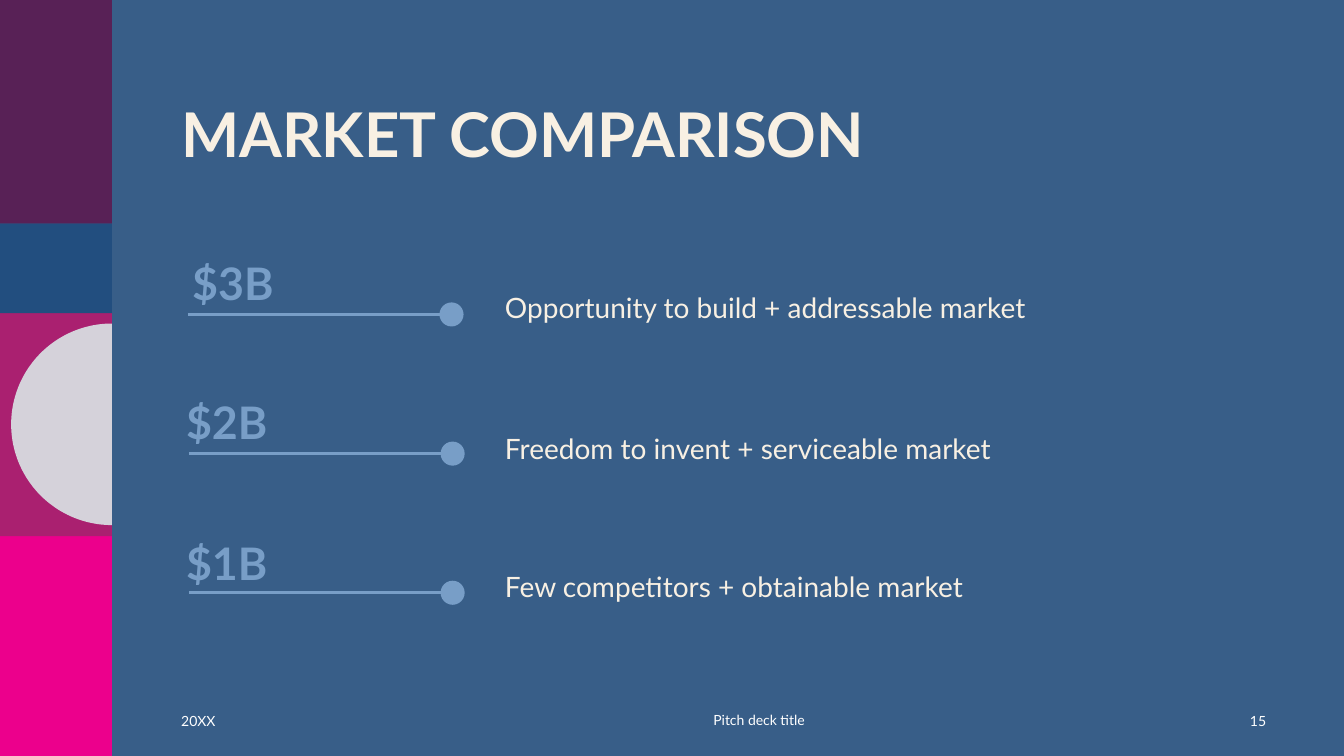
import math
import pptx
import pptx.util
import pptx.dml.color
import pptx.enum.shapes
import pptx.enum.text
import pptx.oxml.ns
import lxml.etree

Pt = pptx.util.Pt
RGBColor = pptx.dml.color.RGBColor
Shape = pptx.enum.shapes.MSO_SHAPE
Align = pptx.enum.text.PP_ALIGN
Anchor = pptx.enum.text.MSO_ANCHOR

BACKGROUND = RGBColor(0x38, 0x5E, 0x88)
PINK = RGBColor(0xEC, 0x00, 0x8C)
MAGENTA = RGBColor(0xAA, 0x20, 0x70)
PURPLE = RGBColor(0x58, 0x21, 0x56)
NAVY = RGBColor(0x22, 0x4E, 0x7F)
GREY = RGBColor(0xD5, 0xD2, 0xDA)
CREAM = RGBColor(0xF8, 0xF0, 0xE3)
SKY = RGBColor(0x78, 0x9E, 0xC7)
WHITE = RGBColor(0xFF, 0xFF, 0xFF)

TITLE = "MARKET COMPARISON"
MARKETS = [
    {"value": "$3B", "text": "Opportunity to build + addressable market",
     "value_at": (108.7, 173.5), "text_top": 206.6, "line_left": 134.2},
    {"value": "$2B", "text": "Freedom to invent + serviceable market",
     "value_at": (104.4, 272.9), "text_top": 307.4, "line_left": 135},
    {"value": "$1B", "text": "Few competitors + obtainable market",
     "value_at": (104.4, 373.7), "text_top": 406.1, "line_left": 135},
]
FOOTERS = [
    ("20XX", (122.4, 500.4, 86.4, 28.8), Align.LEFT),
    ("Pitch deck title", (452.2, 499.7, 180, 28.8), Align.CENTER),
    ("15", (875.5, 500.4, 36, 28.8), Align.RIGHT),
]
BAND_WIDTH = 80
BANDS = [(380.2, 159.8, PINK), (223.2, 159.8, MAGENTA), (0, 159.8, PURPLE), (159.8, 64, NAVY)]
CIRCLE_Y, CIRCLE_RADIUS, ARC_STEPS = 303.1, 72, 90
FIRST_LINE_Y, LINE_PITCH, LINE_LENGTH = 224.6, 99.4, 182.6
DOT_SIZE, DOT_OFFSET = 17.2, 179.7

TITLE_FORMAT = {"size": Pt(44), "bold": True, "color": CREAM}
VALUE_FORMAT = {"size": Pt(32), "bold": True, "color": SKY}
TEXT_FORMAT = {"size": Pt(20), "bold": False, "color": CREAM}
FOOTER_FORMAT = {"size": Pt(10), "bold": False, "color": WHITE}
PLAIN = {"line_spacing": 1.0, "space_before": Pt(0)}
TIGHT = {"line_spacing": 0.9, "space_before": Pt(0)}
BODY = {"line_spacing": 0.9, "space_before": Pt(10)}


def set_all(target, values):
    for name, value in values.items():
        setattr(target, name, value)


def write(shape, box, text, font_format, spacing, alignment=Align.LEFT, anchor=Anchor.TOP):
    set_all(shape, dict(zip(("left", "top", "width", "height"), map(Pt, box))))
    frame = shape.text_frame
    set_all(frame, {"word_wrap": True, "vertical_anchor": anchor,
                    "auto_size": pptx.enum.text.MSO_AUTO_SIZE.NONE})
    paragraph = frame.paragraphs[0]
    set_all(paragraph, {"alignment": alignment, **spacing})
    run = paragraph.add_run()
    run.text = text
    set_all(run.font, {"name": "Lato", "size": font_format["size"], "bold": font_format["bold"]})
    run.font.color.rgb = font_format["color"]
    return paragraph


def remove_bullet(paragraph):
    properties = paragraph._p.get_or_add_pPr()
    properties.set("marL", "0")
    properties.set("indent", "0")
    lxml.etree.SubElement(properties, pptx.oxml.ns.qn("a:buNone"))


def paint(shape, color):
    shape.shadow.inherit = False
    shape.fill.solid()
    shape.fill.fore_color.rgb = color
    shape.line.fill.background()


def add_box(slide):
    return slide.shapes.add_textbox(0, 0, 0, 0)


def add_side_panel(slide):
    for top, height, color in BANDS:
        band = slide.shapes.add_shape(Shape.RECTANGLE, 0, Pt(top), Pt(BAND_WIDTH), Pt(height))
        paint(band, color)
    angles = [math.pi * (0.5 + step / ARC_STEPS) for step in range(ARC_STEPS + 1)]
    points = [(Pt(BAND_WIDTH + CIRCLE_RADIUS * math.cos(angle)),
               Pt(CIRCLE_Y + CIRCLE_RADIUS * math.sin(angle))) for angle in angles]
    builder = slide.shapes.build_freeform(*points[0])
    builder.add_line_segments(points[1:], close=True)
    paint(builder.convert_to_shape(), GREY)


def add_market(slide, market, row, placeholder):
    write(add_box(slide), (*market["value_at"], 115.2, 61.9), market["value"],
          VALUE_FORMAT, BODY, Align.CENTER, Anchor.MIDDLE)
    remove_bullet(write(placeholder, (353.5, market["text_top"], 484.6, 74.2),
                        market["text"], TEXT_FORMAT, BODY))
    left, y = market["line_left"], FIRST_LINE_Y + row * LINE_PITCH
    line = slide.shapes.add_connector(pptx.enum.shapes.MSO_CONNECTOR.STRAIGHT,
                                      Pt(left), Pt(y), Pt(left + LINE_LENGTH), Pt(y))
    line.line.color.rgb = SKY
    line.line.width = Pt(2)
    lxml.etree.SubElement(line._element.spPr, pptx.oxml.ns.qn("a:effectLst"))
    dot = slide.shapes.add_shape(Shape.OVAL, Pt(left + DOT_OFFSET), Pt(y - DOT_SIZE / 2),
                                 Pt(DOT_SIZE), Pt(DOT_SIZE))
    paint(dot, SKY)


def main():
    presentation = pptx.Presentation()
    set_all(presentation, {"slide_width": Pt(960), "slide_height": Pt(540)})
    slide = presentation.slides.add_slide(presentation.slide_layouts.get_by_name("Comparison"))
    slide.background.fill.solid()
    slide.background.fill.fore_color.rgb = BACKGROUND
    title, *bodies = list(slide.placeholders)
    add_side_panel(slide)
    write(title, (122.4, 70.6, 802, 104.4), TITLE, TITLE_FORMAT, TIGHT)
    for row, (market, body) in enumerate(zip(MARKETS, bodies)):
        add_market(slide, market, row, body)
    for unused in bodies[len(MARKETS):]:
        unused._element.getparent().remove(unused._element)
    for text, box, alignment in FOOTERS:
        write(add_box(slide), box, text, FOOTER_FORMAT, PLAIN, alignment, Anchor.MIDDLE)
    presentation.save("out.pptx")


if __name__ == "__main__":
    main()
